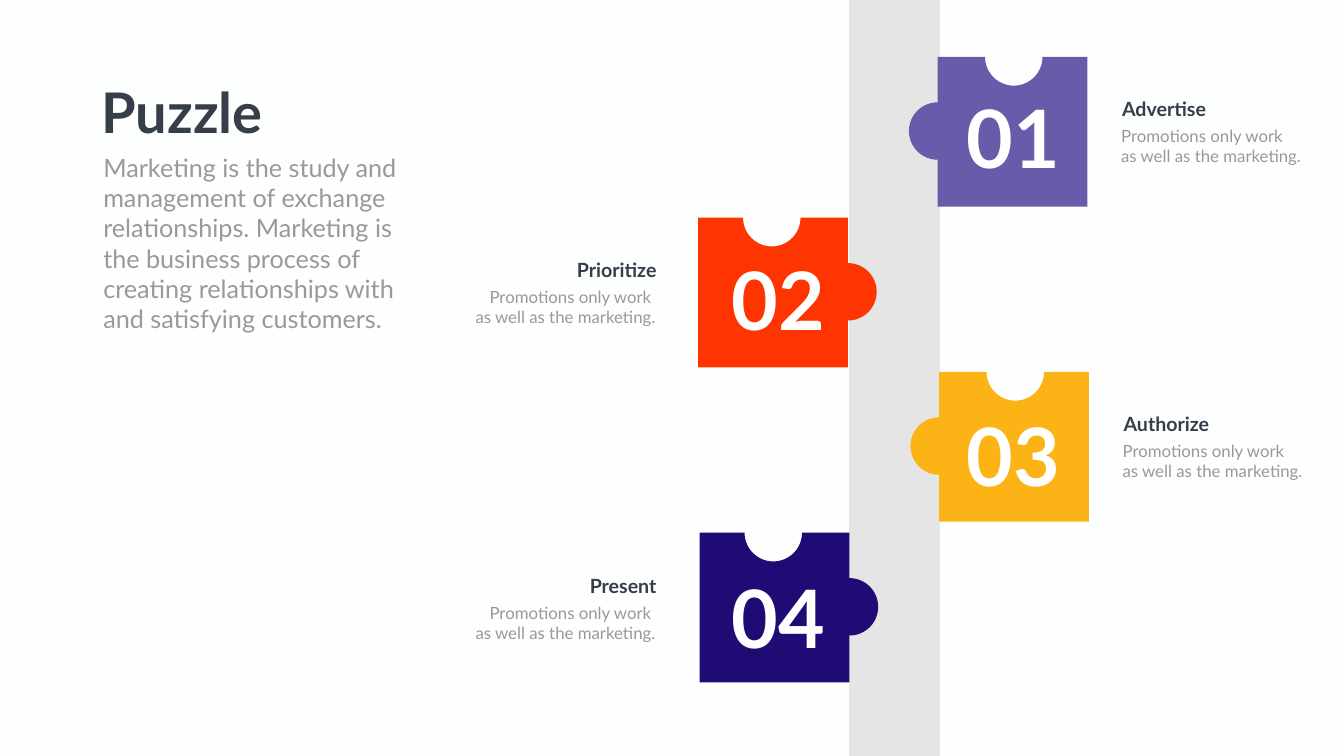
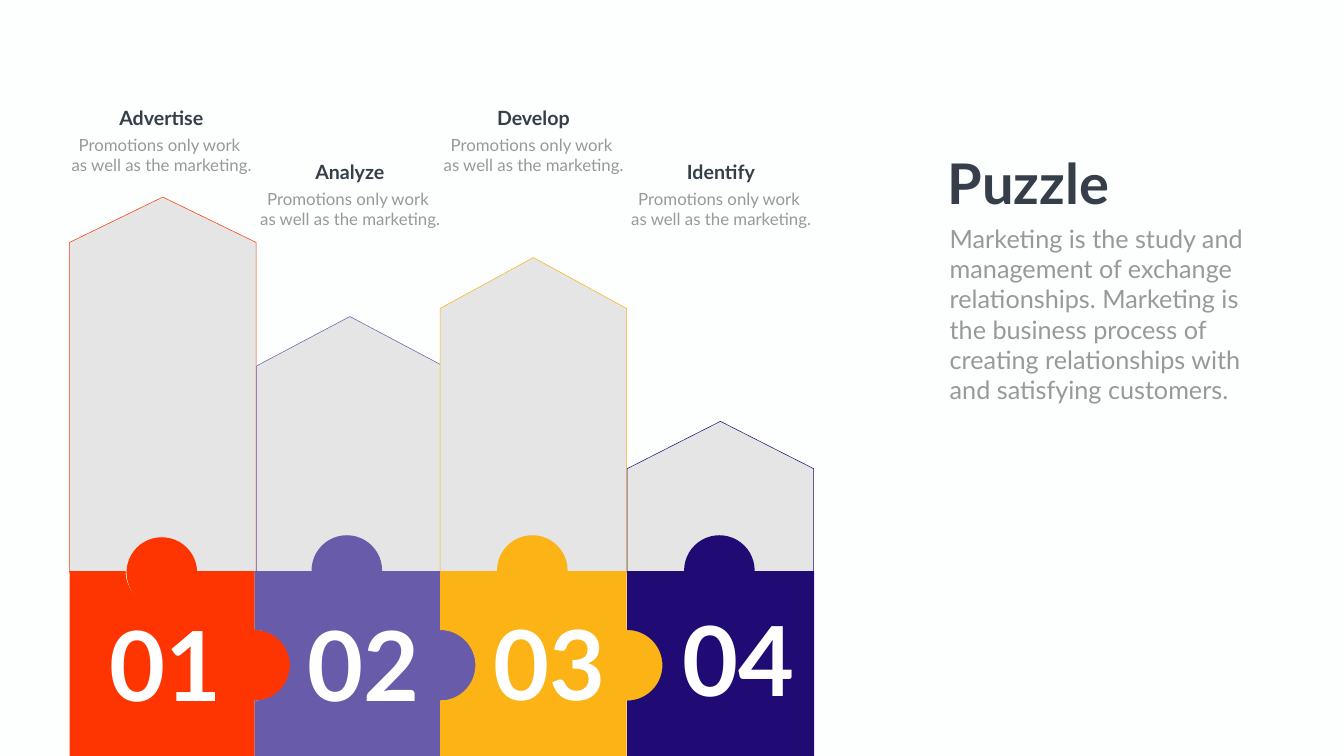
import math

import pptx
import pptx.dml.color
import pptx.enum.shapes
import pptx.enum.text
import pptx.util

Inches = pptx.util.Inches
Align = pptx.enum.text.PP_ALIGN

BACKGROUND, DARK, GRAY, BAND, WHITE = "FDFFFE", "353E49", "989998", "E4E5E4", "FFFFFF"
ORANGE, PURPLE, YELLOW, NAVY = "FE3500", "685BA9", "FCB315", "1F0B73"

TITLE_FORMAT = {"size": 80, "bold": True, "color": DARK}
INTRO_FORMAT = {"size": 36, "color": GRAY}
HEADING_FORMAT = {"size": 28, "bold": True, "color": DARK}
CAPTION_FORMAT = {"size": 24, "color": GRAY}

INTRO = ("Marketing is the study and management of exchange relationships. "
         "Marketing is the business process of creating relationships with "
         "and satisfying customers.")
CAPTION_SHIFT = {Align.LEFT: -0.02, Align.CENTER: -1.03, Align.RIGHT: -2.09}


def rgb(value):
    return pptx.dml.color.RGBColor.from_string(value)


def paint(shape, color, outline=None):
    shape.shadow.inherit = False
    shape.fill.solid()
    shape.fill.fore_color.rgb = rgb(color)
    if outline:
        shape.line.color.rgb = rgb(outline)
        shape.line.width = pptx.util.Pt(0.75)
    else:
        shape.line.fill.background()


def add_outline(slide, points, color, outline=None):
    """Draw a closed polygon through points given in inches."""
    corners = [(Inches(x), Inches(y)) for x, y in points]
    builder = slide.shapes.build_freeform(*corners[0])
    builder.add_line_segments(corners[1:], close=True)
    paint(builder.convert_to_shape(), color, outline)


def add_text(slide, area, lines, style, align=Align.LEFT, wrap=True):
    box = slide.shapes.add_textbox(*map(Inches, area))
    frame = box.text_frame
    frame.word_wrap = wrap
    for index, line in enumerate(lines):
        para = frame.paragraphs[0] if index == 0 else frame.add_paragraph()
        para.alignment = align
        span = para.add_run()
        span.text = line
        span.font.name = "Lato"
        for name, value in style.items():
            if name == "color":
                span.font.color.rgb = rgb(value)
            else:
                setattr(span.font, name, pptx.util.Pt(value) if name == "size" else value)


def half_circle(center_x, center_y, radius, start, steps=32):
    """Points of a half turn, from the start angle in degrees."""
    angles = [math.radians(start - 180 * step / steps) for step in range(steps + 1)]
    return [(center_x + radius * math.cos(a), center_y + radius * math.sin(a)) for a in angles]


def add_piece(slide, area, color, notch_side, notch_center, radius):
    """Draw a puzzle piece with a round notch in its top or left side."""
    left, top, width, height = area
    right, bottom = left + width, top + height
    corners = [(left, top), (right, top), (right, bottom), (left, bottom)]
    if notch_side == "top":
        notch = half_circle(notch_center, top, radius, 180)
        corners = corners[1:] + corners[:1]
    else:
        notch = half_circle(left, notch_center, radius, 90)
    add_outline(slide, notch + corners, color)


def add_knob(slide, center_x, center_y, radius, color):
    area = (center_x - radius, center_y - radius, 2 * radius, 2 * radius)
    oval = pptx.enum.shapes.MSO_SHAPE.OVAL
    paint(slide.shapes.add_shape(oval, *map(Inches, area)), color)


def add_number(slide, number, left, top, size, box_size):
    style = {"size": size, "bold": True, "color": WHITE}
    add_text(slide, (left, top, *box_size), [f"{number:02d}"], style, wrap=False)


def add_label(slide, left, top, heading, align):
    gap = "" if align == Align.LEFT else " "
    caption = ["Promotions only work" + gap, "as well as the marketing."]
    add_text(slide, (left, top, 2.66, 0.57), [heading], HEADING_FORMAT, align)
    area = (left + CAPTION_SHIFT[align], top + 0.57, 4.73, 0.91)
    add_text(slide, area, caption, CAPTION_FORMAT, align)


def add_intro(slide, left, top):
    add_text(slide, (left, top, 3.47, 1.45), ["Puzzle"], TITLE_FORMAT, wrap=False)
    add_text(slide, (left + 0.04, top + 1.48, 6.45, 3.74), [INTRO], INTRO_FORMAT)


def add_slide(deck):
    slide = deck.slides.add_slide(deck.slide_layouts[6])
    slide.background.fill.solid()
    slide.background.fill.fore_color.rgb = rgb(BACKGROUND)
    return slide


def build_timeline(slide):
    side, radius = 2.97, 0.57
    add_outline(slide, [(16.84, 0), (18.64, 0), (18.64, 15), (16.84, 15)], BAND)
    # left, top, colour, number left and top, heading, heading left and top
    steps = [
        (18.6, 1.13, PURPLE, 19.07, 1.7, "Advertise", 22.16, 1.87),
        (13.85, 4.32, ORANGE, 14.41, 4.92, "Prioritize", 10.46, 5.07),
        (18.63, 7.38, YELLOW, 19.08, 8.01, "Authorize", 22.19, 8.12),
        (13.88, 10.57, NAVY, 14.42, 11.22, "Present", 10.46, 11.34),
    ]
    for number, step in enumerate(steps, 1):
        left, top, color, number_left, number_top, heading, label_left, label_top = step
        on_right = number % 2 == 1
        notch_center = left + (1.51 if on_right else 1.46)
        add_piece(slide, (left, top, side, side), color, "top", notch_center, radius)
        add_knob(slide, left if on_right else left + side, top + 1.47, radius, color)
        add_number(slide, number, number_left, number_top, 115, (2.07, 2.04))
        align = Align.LEFT if on_right else Align.RIGHT
        add_label(slide, label_left, label_top, heading, align)
    add_intro(slide, 1.91, 1.49)


def build_columns(slide):
    width, base, piece_top = 3.7, 11.36, 11.33
    # left, peak, shoulder, colour of each arrow column
    columns = [
        (1.38, 3.91, 4.81, ORANGE),
        (5.09, 6.28, 7.26, PURPLE),
        (8.73, 5.11, 6.12, YELLOW),
        (12.44, 8.36, 9.3, NAVY),
    ]
    for left, peak, shoulder, color in columns:
        right = left + width
        points = [(right, base), (left, base), (left, shoulder),
                  (left + width / 2, peak), (right, shoulder)]
        add_outline(slide, points, BAND, color)

    # left, width, colour, top knob height, notch side and centre
    pieces = [
        (1.38, 3.67, ORANGE, 11.36, "top", 3.19),
        (5.05, 3.69, PURPLE, 11.32, "left", 13.2),
        (8.73, 3.7, YELLOW, 11.32, "left", 13.2),
        (12.44, 3.71, NAVY, 11.32, "left", 13.2),
    ]
    for left, piece_width, color, knob_y, notch_side, notch_center in pieces:
        area = (left, piece_top, piece_width, 15 - piece_top)
        add_piece(slide, area, color, notch_side, notch_center, 0.7)
        add_knob(slide, left + 1.83, knob_y, 0.7, color)
        if color != NAVY:
            add_knob(slide, left + piece_width + 0.02, 13.2, 0.7, color)

    # number left and top, heading, heading left and top
    labels = [
        (2.08, 11.95, "Advertise", 1.87, 2.05),
        (6.01, 11.95, "Analyze", 5.61, 3.13),
        (9.69, 11.93, "Develop", 9.25, 2.05),
        (13.44, 11.86, "Identify", 12.97, 3.13),
    ]
    for number, (number_left, number_top, heading, left, top) in enumerate(labels, 1):
        add_number(slide, number, number_left, number_top, 138, (2.45, 2.42))
        add_label(slide, left, top, heading, Align.CENTER)
    add_intro(slide, 18.7, 2.9)


def main():
    deck = pptx.Presentation()
    deck.slide_width, deck.slide_height = Inches(26.66), Inches(15)
    build_timeline(add_slide(deck))
    build_columns(add_slide(deck))
    deck.save("out.pptx")


if __name__ == "__main__":
    main()
